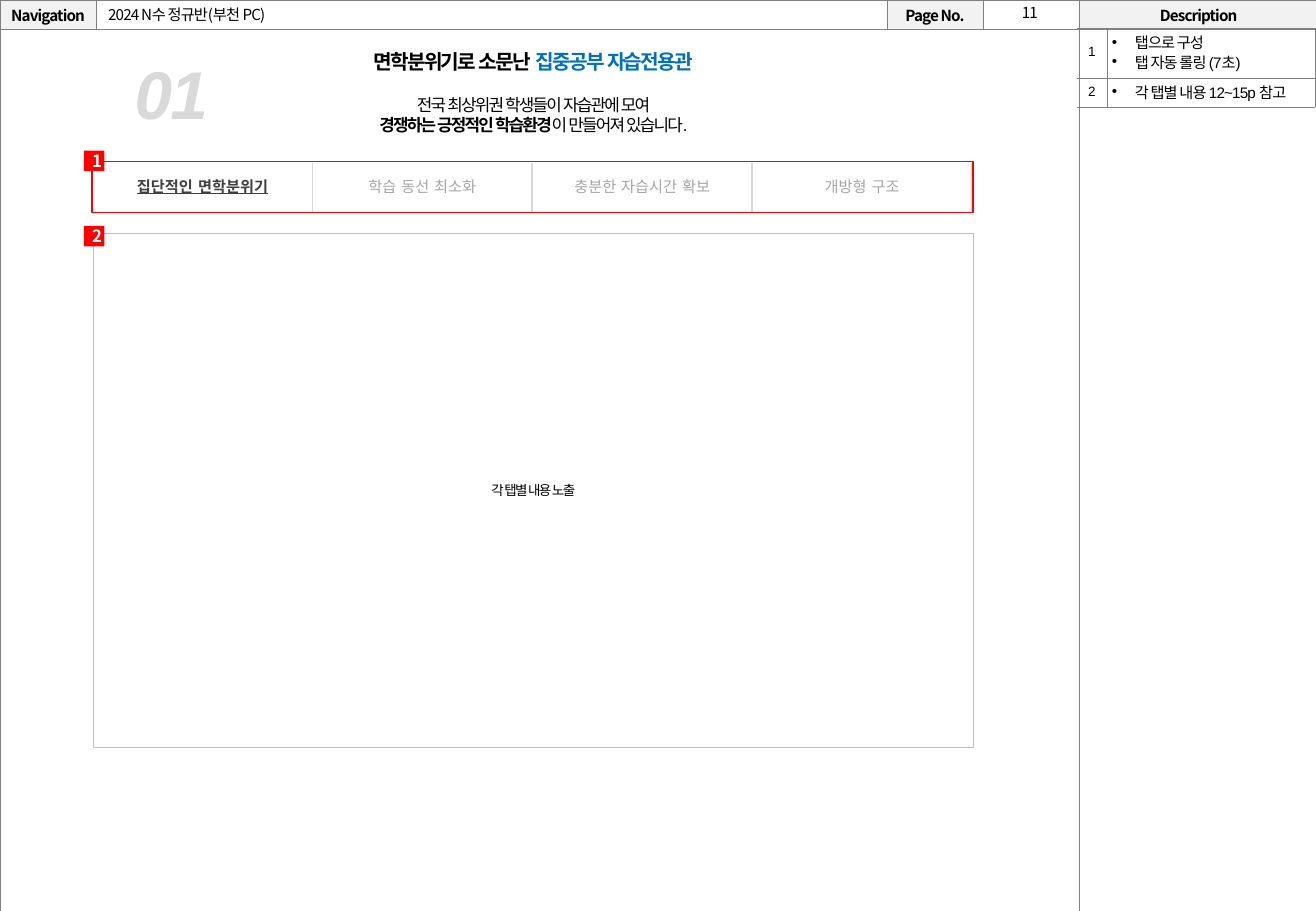
import pptx
import pptx.dml.color
import pptx.enum.shapes
import pptx.enum.text
import pptx.oxml.ns
import pptx.util
from lxml import etree

Inches = pptx.util.Inches
Pt = pptx.util.Pt
RGBColor = pptx.dml.color.RGBColor
PP_ALIGN = pptx.enum.text.PP_ALIGN
MIDDLE = pptx.enum.text.MSO_ANCHOR.MIDDLE
RECTANGLE = pptx.enum.shapes.MSO_SHAPE.RECTANGLE
qn = pptx.oxml.ns.qn

BLACK = RGBColor(0, 0, 0)
WHITE = RGBColor(255, 255, 255)
RED = RGBColor(255, 0, 0)
BLUE = RGBColor(0x00, 0x70, 0xC0)
HEADER_FILL = RGBColor(0xF2, 0xF2, 0xF2)
FRAME_LINE = RGBColor(0x80, 0x80, 0x80)
PANEL_LINE = RGBColor(0xBF, 0xBF, 0xBF)
LIGHT = RGBColor(0xD9, 0xD9, 0xD9)
TAB_ON = RGBColor(0x40, 0x40, 0x40)
TAB_OFF = RGBColor(0xA6, 0xA6, 0xA6)
SANS = "Noto Sans CJK KR"

TITLE = "2024 N수 정규반(부천 PC)"
PAGE_NUMBER = "11"
FRAME_HEADERS = ["Navigation", "", "Page No.", "", "Description"]
DESCRIPTIONS = [["탭으로 구성", "탭 자동 롤링 (7초)"], ["각 탭별 내용 12~15p 참고"]]
HEADING = [
    (12, 0, [("면학분위기로 소문난 ", True, BLACK), ("집중공부 자습전용관", True, BLUE)]),
    (10, 12, [("전국 최상위권 학생들이 자습관에 모여", False, BLACK)]),
    (10, 0, [("경쟁하는 긍정적인 학습환경", True, BLACK), ("이 만들어져 있습니다.", False, BLACK)]),
]
TABS = ["집단적인 면학분위기", "학습 동선 최소화", "충분한 자습시간 확보", "개방형 구조"]
PANEL_TEXT = "각 탭별 내용 노출"
BADGES = [("1", 1.24), ("2", 1.86)]


def style(para, size, color=BLACK, name="Arial", bold=False, spacing=0, east=None, align=PP_ALIGN.CENTER):
    """Set alignment, font and letter spacing of a paragraph."""
    para.alignment = align
    font = para.font
    font.size, font.name, font.bold = Pt(size), name, bold
    font.color.rgb = color
    props = para._p.pPr.find(qn("a:defRPr"))
    props.set("spc", str(int(spacing * 100)))
    etree.SubElement(props, qn("a:ea")).set("typeface", east or name)
    if not para.runs:
        etree.SubElement(para._p, qn("a:endParaRPr")).set("sz", str(size * 100))


def add_bullet(para):
    """Give a paragraph a hanging round bullet."""
    props = para._p.get_or_add_pPr()
    props.set("marL", str(Inches(0.19)))
    props.set("indent", str(-Inches(0.19)))
    etree.SubElement(props, qn("a:buFont")).set("typeface", "Arial")
    etree.SubElement(props, qn("a:buChar")).set("char", "•")


def format_cell(cell, sides, color, width, margin=None, fill=None):
    """Set borders, margins and fill of a table cell."""
    cell.vertical_anchor = MIDDLE
    if margin is not None:
        cell.margin_left = cell.margin_right = Inches(margin)
        cell.margin_top = cell.margin_bottom = Inches(margin)
    props = cell._tc.get_or_add_tcPr()
    for side in "LRTB":
        line = etree.SubElement(props, qn("a:ln" + side))
        line.set("w", str(Pt(width)))
        if side in sides:
            paint = etree.SubElement(line, qn("a:solidFill"))
            etree.SubElement(paint, qn("a:srgbClr")).set("val", str(color))
        else:
            etree.SubElement(line, qn("a:noFill"))
    if fill is None:
        cell.fill.background()
    else:
        cell.fill.solid()
        cell.fill.fore_color.rgb = fill


def add_grid(page, left, top, widths, heights):
    """Add a plain table with the given column widths and row heights."""
    table = page.shapes.add_table(len(heights), len(widths), Inches(left), Inches(top),
                                  Inches(sum(widths)), Inches(sum(heights))).table
    table.first_row = table.horz_banding = False
    for column, width in zip(table.columns, widths):
        column.width = Inches(width)
    for row, height in zip(table.rows, heights):
        row.height = Inches(height)
    return table


def add_box(page, left, top, width, height, fill=None, line=None, weight=1):
    """Add a flat rectangle."""
    box = page.shapes.add_shape(RECTANGLE, Inches(left), Inches(top), Inches(width), Inches(height))
    box.shadow.inherit = False
    for paint, color in ((box.fill, fill), (box.line.fill, line)):
        if color is None:
            paint.background()
        else:
            paint.solid()
            paint.fore_color.rgb = color
    if line is not None:
        box.line.width = Pt(weight)
    box.text_frame.vertical_anchor = MIDDLE
    return box


def add_text(page, left, top, width, height):
    """Add a wrapping text box and return its text frame."""
    frame = page.shapes.add_textbox(Inches(left), Inches(top), Inches(width), Inches(height)).text_frame
    frame.word_wrap = True
    return frame


def add_frame(page):
    """Add the page frame with its header row, title and page number."""
    table = add_grid(page, 0, 0, [0.79, 6.51, 0.79, 0.79, 1.97], [0.24, 7.27])
    table.cell(1, 0).merge(table.cell(1, 3))
    for index, header in enumerate(FRAME_HEADERS):
        cell = table.cell(0, index)
        cell.text = header
        format_cell(cell, "LRTB", FRAME_LINE, 0.25, 0, HEADER_FILL if header else None)
        style(cell.text_frame.paragraphs[0], 9, name=SANS, bold=True, spacing=-0.5)
        format_cell(table.cell(1, index), "LRTB", FRAME_LINE, 0.25, 0)

    title = page.shapes.title
    title.left, title.top, title.width, title.height = Inches(0.79), 0, Inches(6.52), Inches(0.23)
    title.text_frame.text = TITLE
    title.text_frame.vertical_anchor = MIDDLE
    style(title.text_frame.paragraphs[0], 9, name=SANS, spacing=-0.5, align=PP_ALIGN.LEFT)

    number = add_text(page, 8.09, -0.02, 0.77, 0.25)
    number.text = PAGE_NUMBER
    style(number.paragraphs[0], 9, name=SANS, spacing=-0.5)


def add_descriptions(page):
    """Add the numbered description table."""
    table = add_grid(page, 8.86, 0.23, [0.25, 1.71], [0.41, 0.24])
    for row, lines in enumerate(DESCRIPTIONS):
        for column, text in enumerate([str(row + 1), "\n".join(lines)]):
            cell = table.cell(row, column)
            cell.text = text
            format_cell(cell, "LRTB" if column else "RTB", FRAME_LINE, 0.25, 0.04)
            for para in cell.text_frame.paragraphs:
                para.line_spacing = 0.9
                if column:
                    add_bullet(para)
                    style(para, 9, spacing=-0.5, east=SANS, align=PP_ALIGN.LEFT)
                else:
                    style(para, 8, spacing=-1)


def add_content(page):
    """Add the panel, heading, tabs and numbered badges."""
    panel = add_box(page, 0.77, 1.92, 7.24, 4.23, WHITE, PANEL_LINE, 0.25).text_frame
    panel.text = PANEL_TEXT
    style(panel.paragraphs[0], 8, spacing=-1)

    heading = add_text(page, 0.77, 0.36, 7.24, 0.81)
    for index, (size, gap, spans) in enumerate(HEADING):
        para = heading.add_paragraph() if index else heading.paragraphs[0]
        if gap:
            para.space_before = Pt(gap)
        for text, bold, color in spans:
            span = para.add_run()
            span.text = text
            span.font.bold = bold
            span.font.color.rgb = color
        style(para, size, spacing=-1)

    section = add_text(page, 1.01, 0.38, 0.87, 0.77)
    section.text = "01"
    style(section.paragraphs[0], 40, LIGHT, bold=True, spacing=-1, align=PP_ALIGN.LEFT)
    section.paragraphs[0].font.italic = True

    tabs = add_grid(page, 0.76, 1.34, [1.81] * len(TABS), [0.41])
    for index, text in enumerate(TABS):
        active = index == 0
        cell = tabs.cell(0, index)
        cell.text = text
        format_cell(cell, "LR", LIGHT, 1)
        para = cell.text_frame.paragraphs[0]
        style(para, 9, TAB_ON if active else TAB_OFF, "DejaVu Sans", active)
        para.font.underline = active
    add_box(page, 0.76, 1.33, 7.25, 0.42, line=RED)

    for text, top in BADGES:
        badge = add_box(page, 0.69, top, 0.17, 0.17, RED).text_frame
        badge.margin_left = Inches(0.05)
        badge.margin_right = badge.margin_top = badge.margin_bottom = 0
        badge.text = text
        style(badge.paragraphs[0], 10, WHITE, SANS, True)


def main():
    """Build the storyboard slide."""
    deck = pptx.Presentation()
    deck.slide_width, deck.slide_height = Inches(10.83), Inches(7.5)
    page = deck.slides.add_slide(deck.slide_layouts[5])
    add_frame(page)
    add_descriptions(page)
    add_content(page)
    deck.save("out.pptx")


if __name__ == "__main__":
    main()
